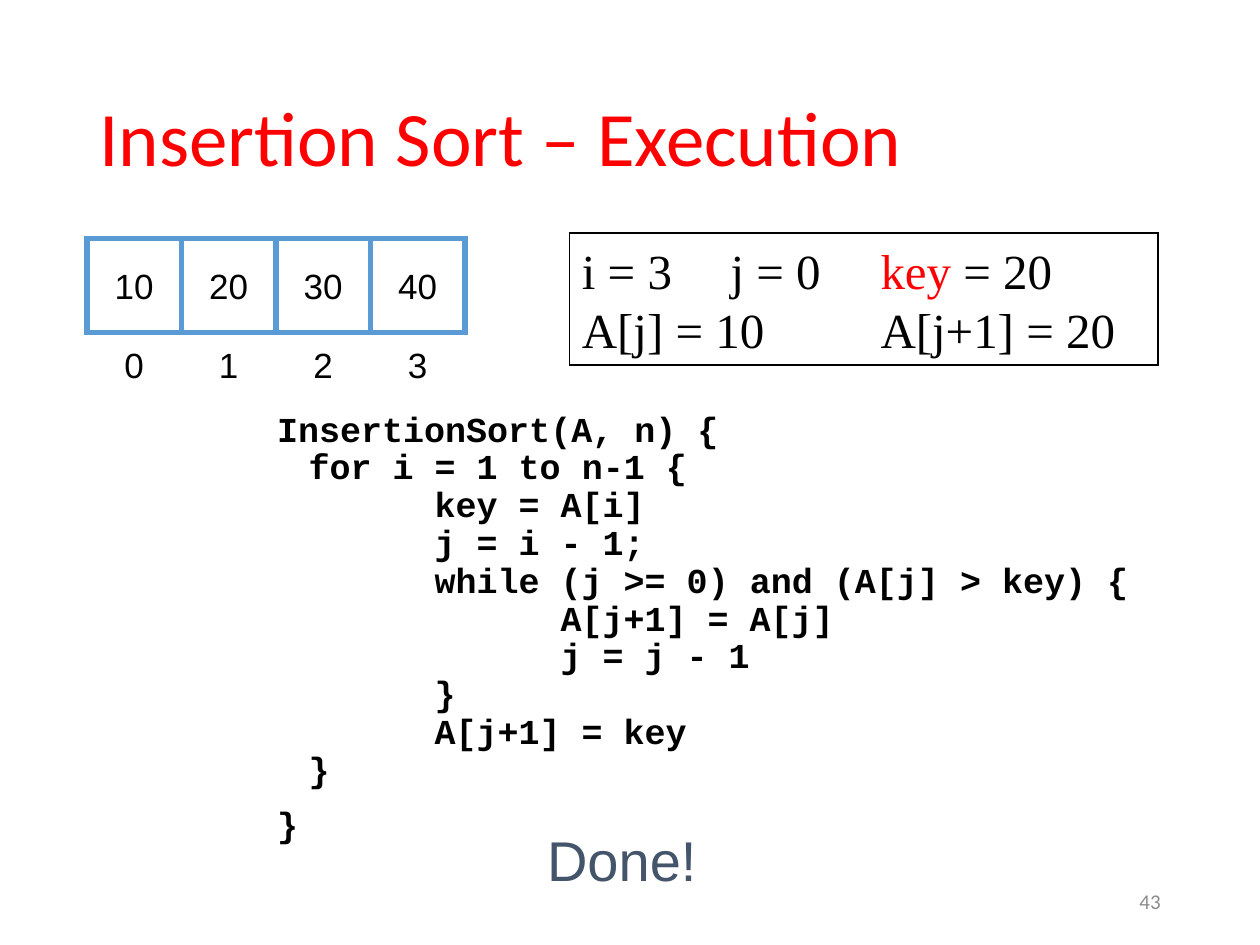
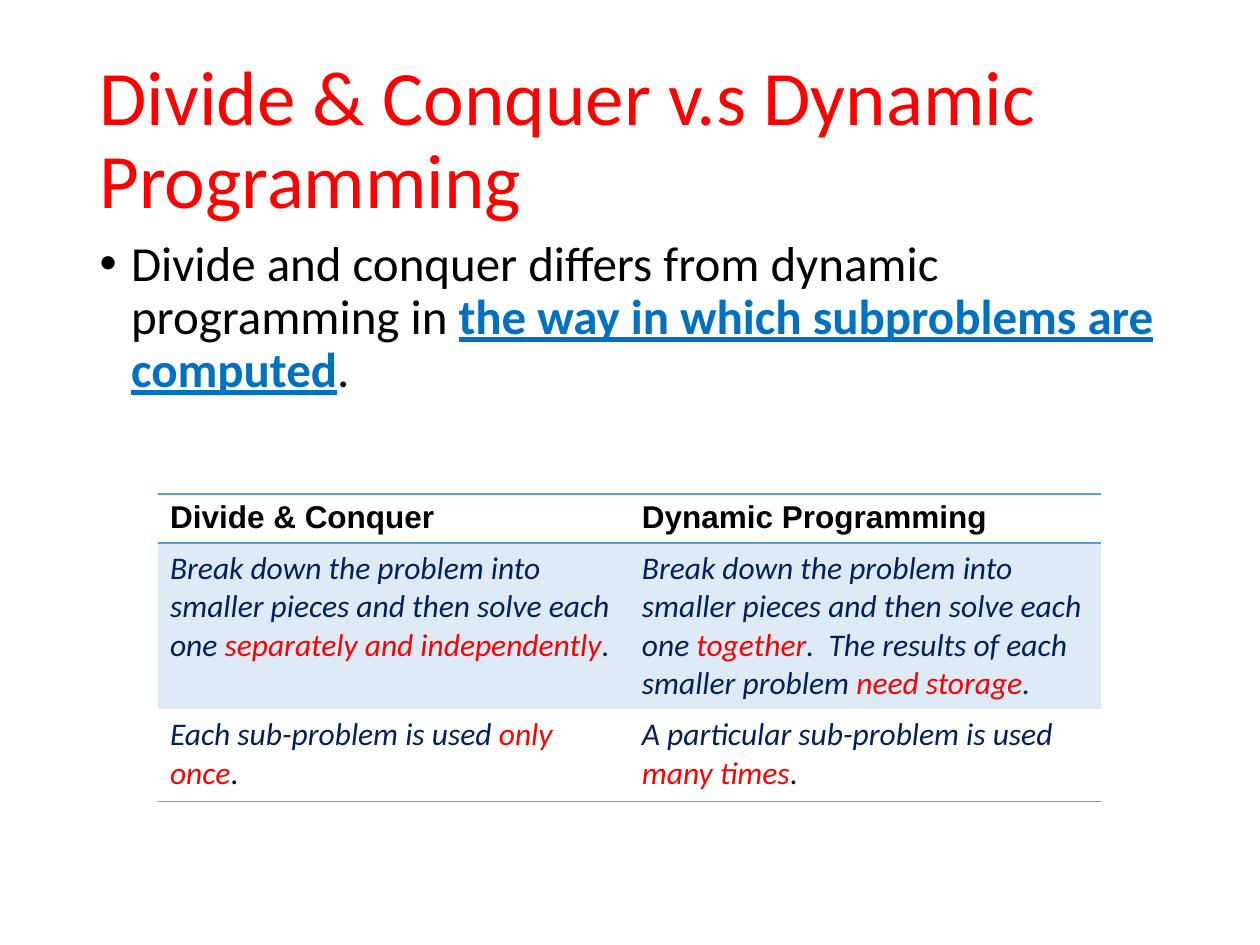
from lxml import etree
from pptx import Presentation
from pptx.dml.color import RGBColor
from pptx.enum.shapes import MSO_SHAPE
from pptx.enum.text import MSO_ANCHOR, MSO_AUTO_SIZE, PP_ALIGN
from pptx.oxml.ns import qn
from pptx.util import Emu, Pt

PX = 9144
RECT = MSO_SHAPE.RECTANGLE
TOP, MIDDLE = MSO_ANCHOR.TOP, MSO_ANCHOR.MIDDLE
LEFT, CENTER, RIGHT = PP_ALIGN.LEFT, PP_ALIGN.CENTER, PP_ALIGN.RIGHT
NO_FIT = MSO_AUTO_SIZE.NONE

BLACK, WHITE, RED = "000000", "FFFFFF", "FF0000"
BLUE, PALE_BLUE, NAVY = "5B9BD5", "DEEBF7", "002060"
LINK_BLUE, SLATE, GRAY = "0070C0", "44546A", "8C8C8C"

TITLE_BOX = (69, 40, 862, 145)
CODE = """InsertionSort(A, n) {
for i = 1 to n-1 {
\t\tkey = A[i]
\t\tj = i - 1;
\t\twhile (j >= 0) and (A[j] > key) {
\t\t\t\tA[j+1] = A[j]
\t\t\t\tj = j - 1
\t\t}
\t\tA[j+1] = key
}"""
COMPARISON = [
    [["Divide & Conquer"], ["Dynamic Programming"]],
    [["Break down the problem into smaller pieces and then solve each one ",
      ("separately and independently", {"color": RED}), "."],
     ["Break down the problem into smaller pieces and then solve each one ",
      ("together", {"color": RED}), ".  The results of each smaller problem ",
      ("need storage", {"color": RED}), "."]],
    [["Each sub-problem is used ", ("only once", {"color": RED}),
      (".", {"color": BLACK, "italic": False})],
     ["A particular sub-problem is used ", ("many times", {"color": RED}),
      (".", {"color": BLACK, "italic": False})]],
]


def rgb(value):
    return RGBColor.from_string(value)


def px(*lengths):
    return [Emu(length * PX) for length in lengths]


def style_run(run, size, font, color, bold=False, italic=False, underline=False):
    run.font.size = Pt(size)
    run.font.name = font
    run.font.color.rgb = rgb(color)
    run.font.bold = bold
    run.font.italic = italic
    run.font.underline = underline


def write(frame, paragraphs, anchor=TOP, wrap=True, align=LEFT, spacing=1.0,
          before=0, hanging=0, tabs=(), bullet=None, **font):
    frame.word_wrap = wrap
    frame.vertical_anchor = anchor
    for index, pieces in enumerate(paragraphs):
        paragraph = frame.add_paragraph() if index else frame.paragraphs[0]
        paragraph.alignment = align
        paragraph.line_spacing = spacing
        paragraph.space_before = Pt(before)
        layout = paragraph._p.get_or_add_pPr()
        if hanging:
            layout.set("marL", str(hanging * PX))
            layout.set("indent", str(-hanging * PX))
        if bullet:
            etree.SubElement(layout, qn("a:buFont"), typeface="Arial")
            etree.SubElement(layout, qn("a:buChar"), char=bullet)
        if tabs:
            stops = etree.SubElement(layout, qn("a:tabLst"))
            for stop in tabs:
                etree.SubElement(stops, qn("a:tab"), pos=str(stop * PX), algn="l")
        for piece in pieces:
            text, changes = (piece, {}) if isinstance(piece, str) else piece
            for number, line in enumerate(text.split("\n")):
                if number:
                    paragraph.add_line_break()
                if line:
                    run = paragraph.add_run()
                    run.text = line
                    style_run(run, **{**font, **changes})


def add_label(slide, box, paragraphs, **text_format):
    label = slide.shapes.add_textbox(*px(*box))
    write(label.text_frame, paragraphs, **text_format)


def add_box(slide, box, paragraphs, line=None, line_width=1, **text_format):
    panel = slide.shapes.add_shape(RECT, *px(*box))
    panel.shadow.inherit = False
    panel.fill.solid()
    panel.fill.fore_color.rgb = rgb(WHITE)
    if line:
        panel.line.color.rgb = rgb(line)
        panel.line.width = Pt(line_width)
        outline = panel._element.spPr.find(qn("a:ln"))
        etree.SubElement(outline, qn("a:miter"), lim="800000")
    else:
        panel.line.fill.background()
    write(panel.text_frame, paragraphs, anchor=MIDDLE, **text_format)


def fill_placeholder(placeholder, box, paragraphs, **text_format):
    placeholder.left, placeholder.top, placeholder.width, placeholder.height = px(*box)
    placeholder.text_frame.auto_size = NO_FIT
    write(placeholder.text_frame, paragraphs, font="Calibri", spacing=0.9, **text_format)


def add_titled_slide(deck, layout_index, title):
    slide = deck.slides.add_slide(deck.slide_layouts[layout_index])
    fill_placeholder(slide.shapes.title, TITLE_BOX, [[title]], anchor=MIDDLE,
                     size=44, color=RED)
    return slide


def add_array(slide, box, values):
    left, top, width, height = box
    cell = width // len(values)
    text_format = dict(size=20, font="Arial", color=BLACK, align=CENTER, wrap=False)
    for index, value in enumerate(values):
        add_box(slide, (left + index * cell, top, cell, cell), [[str(value)]],
                line=BLUE, line_width=3, **text_format)
    for index in range(len(values)):
        add_box(slide, (left + index * cell, top + height - 33, cell, 33),
                [[str(index)]], **text_format)


def add_variables(slide, box):
    add_box(slide, box,
            [["i = 3\tj = 0\t", ("key", {"color": RED}),
              " = 20\nA[j] = 10\tA[j+1] = 20"]],
            line=BLACK, tabs=(118, 237),
            size=28, font="Times New Roman", color=BLACK)


def add_code(slide, box):
    add_label(slide, box, [[CODE], ["}"]], hanging=25, spacing=0.9, before=10,
              size=20, font="Courier New", color=BLACK, bold=True)


def set_borders(cell, top, bottom):
    properties = cell._tc.get_or_add_tcPr()
    edges = [("a:lnL", None), ("a:lnR", None), ("a:lnT", top), ("a:lnB", bottom)]
    for position, (tag, color) in enumerate(edges):
        edge = etree.Element(qn(tag), w=str(Pt(1)))
        if color:
            fill = etree.SubElement(edge, qn("a:solidFill"))
            etree.SubElement(fill, qn("a:srgbClr"), val=color)
        else:
            etree.SubElement(edge, qn("a:noFill"))
        properties.insert(position, edge)


def add_comparison(slide, box, row_heights):
    table = slide.shapes.add_table(len(COMPARISON), 2, *px(*box)).table
    table.first_row = table.horz_banding = False
    for column in table.columns:
        column.width = Emu(box[2] * PX // 2)
    header = dict(font="Arial", color=BLACK, bold=True)
    entry = dict(font="Calibri", color=NAVY, italic=True)
    borders = [(BLUE, BLUE), (BLUE, None), (None, BLUE)]
    for row, contents in enumerate(COMPARISON):
        table.rows[row].height = Emu(row_heights[row] * PX)
        for column, pieces in enumerate(contents):
            cell = table.cell(row, column)
            if row == 1:
                cell.fill.solid()
                cell.fill.fore_color.rgb = rgb(PALE_BLUE)
            else:
                cell.fill.background()
            set_borders(cell, *borders[row])
            write(cell.text_frame, [pieces], size=18, **(entry if row else header))


def build_execution(deck):
    slide = add_titled_slide(deck, 5, "Insertion Sort – Execution")
    add_label(slide, (706, 695, 225, 40), [["43"]], anchor=MIDDLE, align=RIGHT,
              size=12, font="Calibri", color=GRAY)
    add_code(slide, (210, 322, 742, 367))
    add_array(slide, (69, 189, 300, 117), [10, 20, 30, 40])
    add_variables(slide, (452, 185, 467, 105))
    add_label(slide, (424, 650, 139, 63), [["Done!"]], anchor=MIDDLE, align=CENTER,
              wrap=False, size=32, font="Arial", color=SLATE)


def build_comparison(deck):
    slide = add_titled_slide(deck, 1, "Divide & Conquer v.s Dynamic Programming")
    fill_placeholder(
        slide.placeholders[1], (69, 185, 862, 450),
        [["Divide and conquer differs from dynamic programming in ",
          ("the way in which subproblems are computed",
           {"color": LINK_BLUE, "bold": True, "underline": True}), "."]],
        hanging=25, before=10, bullet="•", size=28, color=BLACK)
    add_comparison(slide, (125, 392, 749, 244), (39, 132, 73))


def main():
    deck = Presentation()
    deck.slide_width, deck.slide_height = px(1000, 750)
    build_execution(deck)
    build_comparison(deck)
    deck.save("out.pptx")


if __name__ == "__main__":
    main()
